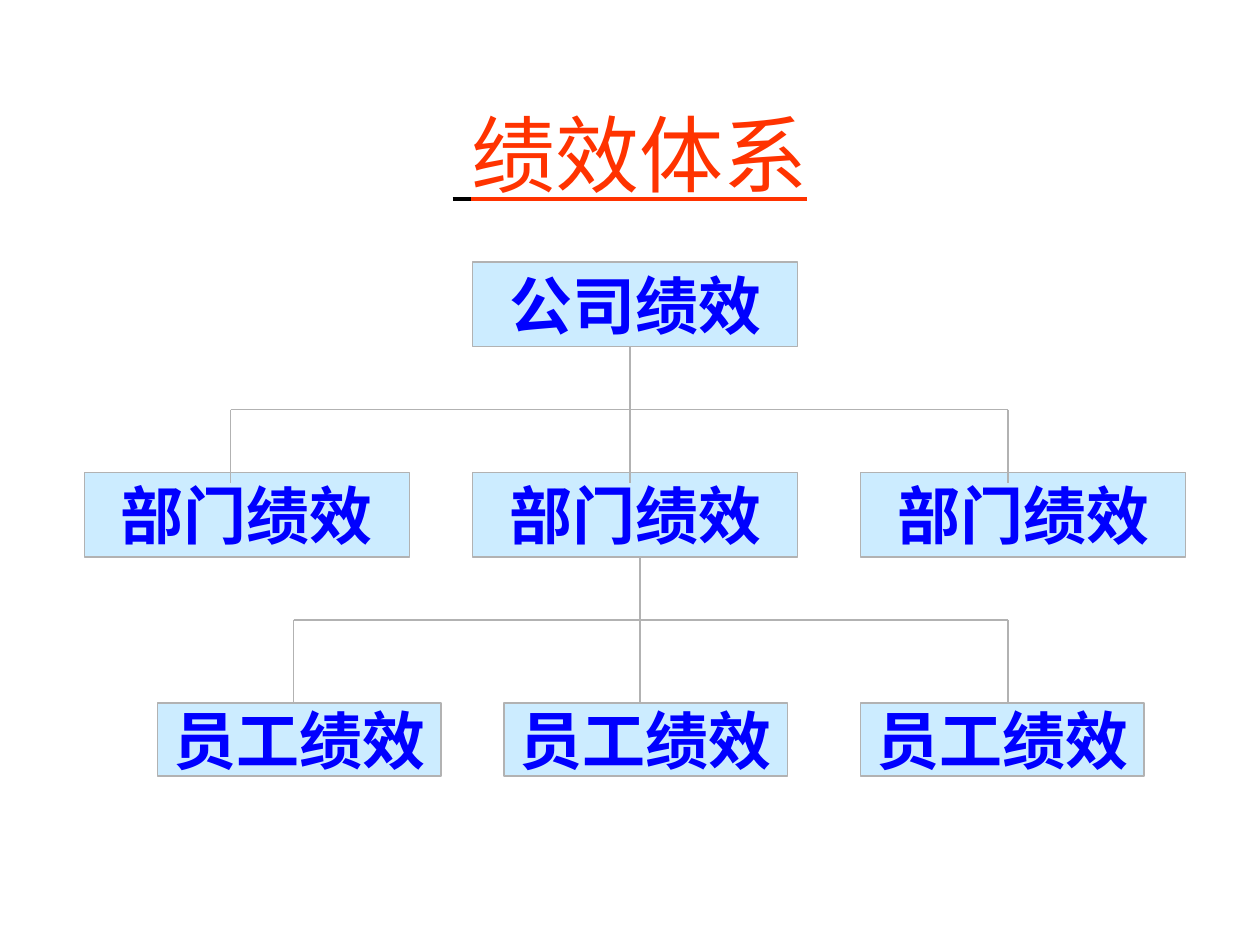
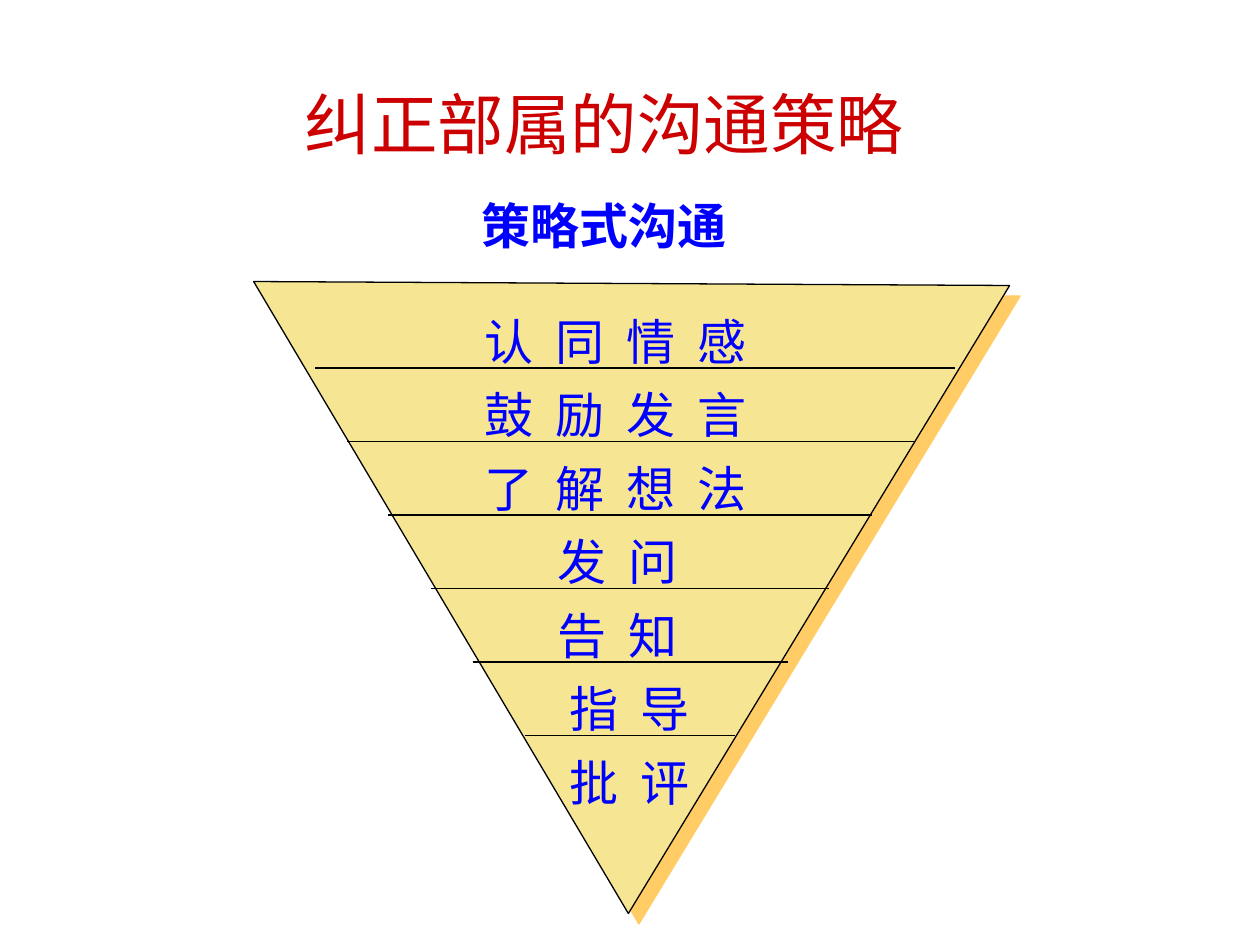
from lxml import etree
from pptx import Presentation
from pptx.dml.color import RGBColor
from pptx.enum.shapes import MSO_CONNECTOR, MSO_SHAPE
from pptx.enum.text import MSO_ANCHOR, PP_ALIGN
from pptx.oxml.ns import qn
from pptx.util import Inches, Pt

LEFT, CENTER = PP_ALIGN.LEFT, PP_ALIGN.CENTER
TOP, MIDDLE = MSO_ANCHOR.TOP, MSO_ANCHOR.MIDDLE
RECT, TRIANGLE = MSO_SHAPE.RECTANGLE, MSO_SHAPE.ISOSCELES_TRIANGLE
STRAIGHT = MSO_CONNECTOR.STRAIGHT

FONT = "Times New Roman"
BLUE, BLACK, GRAY = "0000FF", "000000", "B2B2B2"
RED, ORANGE_RED = "CC0000", "FF3300"
BOX_FILL, FUNNEL_FILL, FUNNEL_SHADOW = "CCECFF", "F6E694", "FFCC66"


def rgb(color):
    return RGBColor.from_string(color)


def write(sp, text, size=28, color=BLUE, bold=False, underline=False,
          align=CENTER, anchor=TOP, wrap=True, spacing=0):
    tf = sp.text_frame
    tf.word_wrap = wrap
    tf.vertical_anchor = anchor
    p = tf.paragraphs[0]
    p.alignment = align
    runs = [(text, color)] if isinstance(text, str) else text
    for part, part_color in runs:
        r = p.add_run()
        r.text = part
        r.font.name = FONT
        r.font.size = Pt(size)
        r.font.bold = bold
        r.font.underline = underline
        r.font.color.rgb = rgb(part_color)
        if spacing:
            r.font._element.set("spc", str(spacing))


prs = Presentation()
prs.slide_width, prs.slide_height = Inches(10), Inches(7.5)
blank = prs.slide_layouts[6]
system = prs.slides.add_slide(blank)
strategy = prs.slides.add_slide(blank)

titles = [
    (system, (0.75, 0.75, 8.5, 0.93), [(" ", BLACK), ("绩效体系", ORANGE_RED)], 48, True),
    (strategy, (0.33, 0.59, 8.93, 0.77), [("纠正部属的沟通策略", RED)], 38, False),
]
for s, at, text, size, underline in titles:
    sp = s.shapes.add_textbox(*map(Inches, at))
    write(sp, text, size=size, underline=underline, anchor=MIDDLE)

levels = [
    ("公司绩效", 2.08, 2.58, 0.67, [3.75]),
    ("部门绩效", 3.75, 2.58, 0.67, [0.67, 3.75, 6.83]),
    ("员工绩效", 5.58, 2.25, 0.58, [1.25, 4, 6.83]),
]
for text, top, width, height, lefts in levels:
    for left in lefts:
        sp = system.shapes.add_shape(RECT, Inches(left), Inches(top), Inches(width), Inches(height))
        sp.shadow.inherit = False
        sp.fill.solid()
        sp.fill.fore_color.rgb = rgb(BOX_FILL)
        sp.line.color.rgb = rgb(GRAY)
        sp.line.width = Pt(1)
        write(sp, text, size=36, bold=True, anchor=MIDDLE, wrap=False)

sp = strategy.shapes.add_textbox(Inches(2.92), Inches(1.5), Inches(3.75), Inches(0.57))
write(sp, "策略式沟通", bold=True)

sp = strategy.shapes.add_shape(TRIANGLE, Inches(2), Inches(2.25), Inches(6), Inches(5))
sp.rotation = 180.3
sp.fill.solid()
sp.fill.fore_color.rgb = rgb(FUNNEL_FILL)
sp.line.color.rgb = rgb(BLACK)
sp.line.width = Pt(0.75)
sp.shadow.inherit = False
effects = sp._element.spPr.find(qn("a:effectLst"))
shadow = etree.SubElement(effects, qn("a:outerShdw"), dist=str(Pt(8.5)),
                          dir=str(45 * 60000), algn="ctr", rotWithShape="0")
etree.SubElement(shadow, qn("a:srgbClr"), val=FUNNEL_SHADOW)

lines = []
for trunk, start, bar, end, drops in [(5, 2.75, 3.25, 3.83, (1.83, 8)),
                                      (5.08, 4.42, 4.92, 5.58, (2.33, 8))]:
    lines.append((system, GRAY, 1, (drops[0], bar, drops[1], bar)))
    lines.append((system, GRAY, 1, (trunk, start, trunk, end)))
    lines += [(system, GRAY, 1, (x, bar, x, end)) for x in drops]

spans = [(2.5, 7.58), (2.75, 7.25), (3.08, 6.92), (3.42, 6.58), (3.75, 6.25), (4.17, 5.83)]
for i, (x1, x2) in enumerate(spans):
    y = 2.92 + i * 3.5 / 6
    lines.append((strategy, BLACK, 0.75, (x1, y, x2, y)))

for s, color, width, ends in lines:
    line = s.shapes.add_connector(STRAIGHT, *map(Inches, ends))
    line.line.color.rgb = rgb(color)
    line.line.width = Pt(width)
    etree.SubElement(line._element.spPr, qn("a:effectLst"))

steps = [
    ("认 同 情 感", 3.75, 3.58),
    ("鼓 励 发 言", 3.75, 3.58),
    ("了 解 想 法", 3.75, 3.58),
    ("发 问", 4.33, 1.58),
    ("告 知", 4.33, 1.58),
    ("指 导", 4.42, 1.58),
    ("批 评", 4.42, 1.58),
]
for i, (text, left, width) in enumerate(steps):
    top = 2.42 + i * 3.5 / 6
    sp = strategy.shapes.add_textbox(Inches(left), Inches(top), Inches(width), Inches(0.57))
    write(sp, text, align=LEFT, spacing=320)

prs.save("out.pptx")
